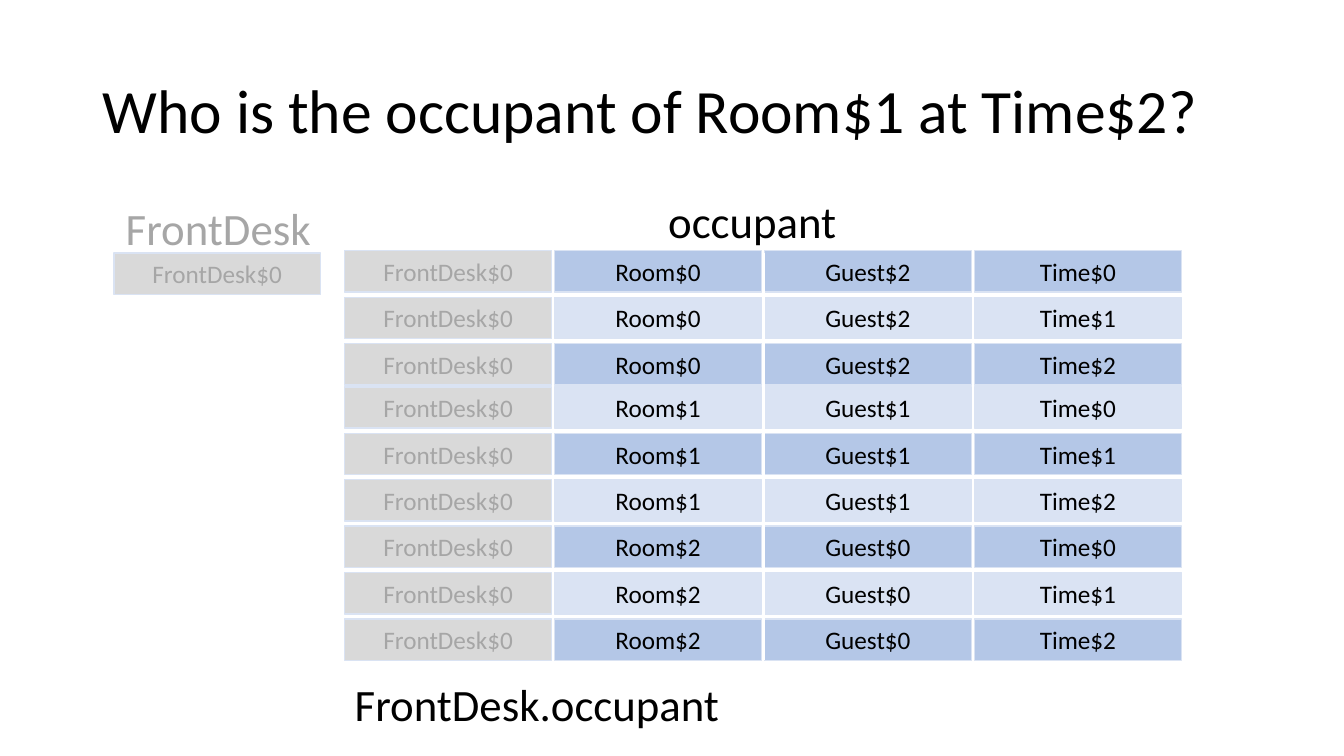
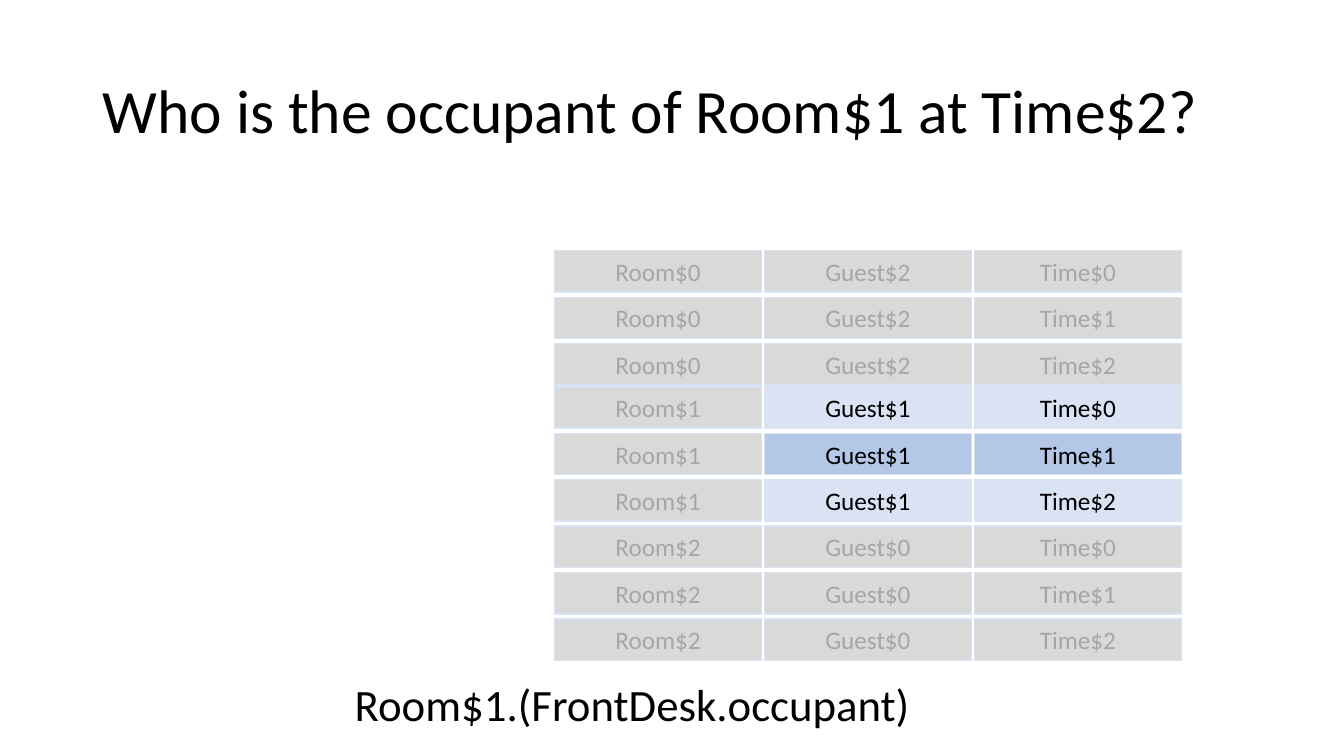
from itertools import product

from lxml import etree
from pptx import Presentation
from pptx import util as u
from pptx.dml import color
from pptx.enum import shapes, text
from pptx.oxml import ns

COLORS = {"ink": "000000", "muted": "A6A6A6", "gray": "D9D9D9",
          "dark": "B4C7E7", "light": "DAE3F3", "white": "FFFFFF"}
COLUMN_LEFT = [8.69 + 5.29 * column for column in range(4)]
ROOM_TOP = [6.32, 9.75, 13.26]
TIME_STEP = 1.17
GUEST_OF_ROOM = [2, 1, 0]
QUESTION = "Who is the occupant of Room$1 at Time$2?"


class Deck:
    """Shared style of the slides and the slide being filled."""

    font = "Calibri"
    cell_width, cell_height = 5.21, 1.04

    def __init__(self):
        self.presentation = Presentation()
        self.presentation.slide_width = u.Cm(33.87)
        self.presentation.slide_height = u.Cm(19.05)
        self.slide = None

    def rgb(self, name):
        return color.RGBColor.from_string(COLORS[name])

    def set_words(self, frame, words, size, ink):
        frame.text = words
        paragraph = frame.paragraphs[0]
        paragraph.font.name = self.font
        paragraph.font.size = u.Pt(size)
        paragraph.font.color.rgb = self.rgb(ink)
        return paragraph

    def new_slide(self, title):
        self.slide = self.presentation.slides.add_slide(self.presentation.slide_layouts[6])
        heading = self.label(title, 2.34, 1.02, 29.21, 3.68, size=44)
        heading.vertical_anchor = text.MSO_ANCHOR.MIDDLE
        heading.paragraphs[0].line_spacing = 0.9

    def label(self, words, left, top, width, height=1.63, size=32, ink="ink", wrap=True):
        box = self.slide.shapes.add_textbox(u.Cm(left), u.Cm(top), u.Cm(width), u.Cm(height))
        box.text_frame.word_wrap = wrap
        self.set_words(box.text_frame, words, size, ink)
        return box.text_frame

    def cell(self, words, left, top, fill="gray"):
        atom = self.slide.shapes.add_shape(
            shapes.MSO_SHAPE.RECTANGLE, u.Cm(left), u.Cm(top),
            u.Cm(self.cell_width), u.Cm(self.cell_height))
        atom.shadow.inherit = False
        atom.fill.solid()
        atom.fill.fore_color.rgb = self.rgb(fill)
        atom.line.color.rgb = self.rgb("light")
        atom.line.width = u.Pt(1)
        atom.text_frame.vertical_anchor = text.MSO_ANCHOR.MIDDLE
        ink = "muted" if fill == "gray" else "ink"
        self.set_words(atom.text_frame, words, 18, ink).alignment = text.PP_ALIGN.CENTER

    def relation(self, first_column, is_active):
        for row, (room, time) in enumerate(product(range(3), repeat=2)):
            top = ROOM_TOP[room] + TIME_STEP * time
            stripe = "light" if row % 2 else "dark"
            atoms = ["FrontDesk$0", f"Room${room}", f"Guest${GUEST_OF_ROOM[room]}", f"Time${time}"]
            for column in range(first_column, 4):
                fill = stripe if is_active(room, column) else "gray"
                self.cell(atoms[column], COLUMN_LEFT[column], top, fill)

    def divider(self, left, top, bottom):
        rule = self.slide.shapes.add_connector(
            shapes.MSO_CONNECTOR.STRAIGHT, u.Cm(left), u.Cm(top), u.Cm(left), u.Cm(bottom))
        rule.line.color.rgb = self.rgb("white")
        rule.line.width = u.Pt(2.25)
        etree.SubElement(rule._element.spPr, ns.qn("a:effectLst"))

    def expression(self, words, width):
        self.label(words, COLUMN_LEFT[0], 16.94, width, wrap=False)


def main():
    deck = Deck()

    deck.new_slide(QUESTION)
    deck.label("occupant", 16.59, 4.75, 5.69)
    deck.cell("FrontDesk$0", 2.87, 6.38)
    deck.label("FrontDesk", 2.92, 4.93, 5.69, ink="muted")
    deck.relation(0, lambda room, column: column > 0)
    deck.expression("FrontDesk.occupant", 9.8)
    deck.divider(19.23, 6.38, 16.64)

    deck.new_slide(QUESTION)
    deck.relation(1, lambda room, column: room == 1 and column > 1)
    deck.expression("Room$1.(FrontDesk.occupant)", 14.94)

    deck.presentation.save("out.pptx")


if __name__ == "__main__":
    main()
